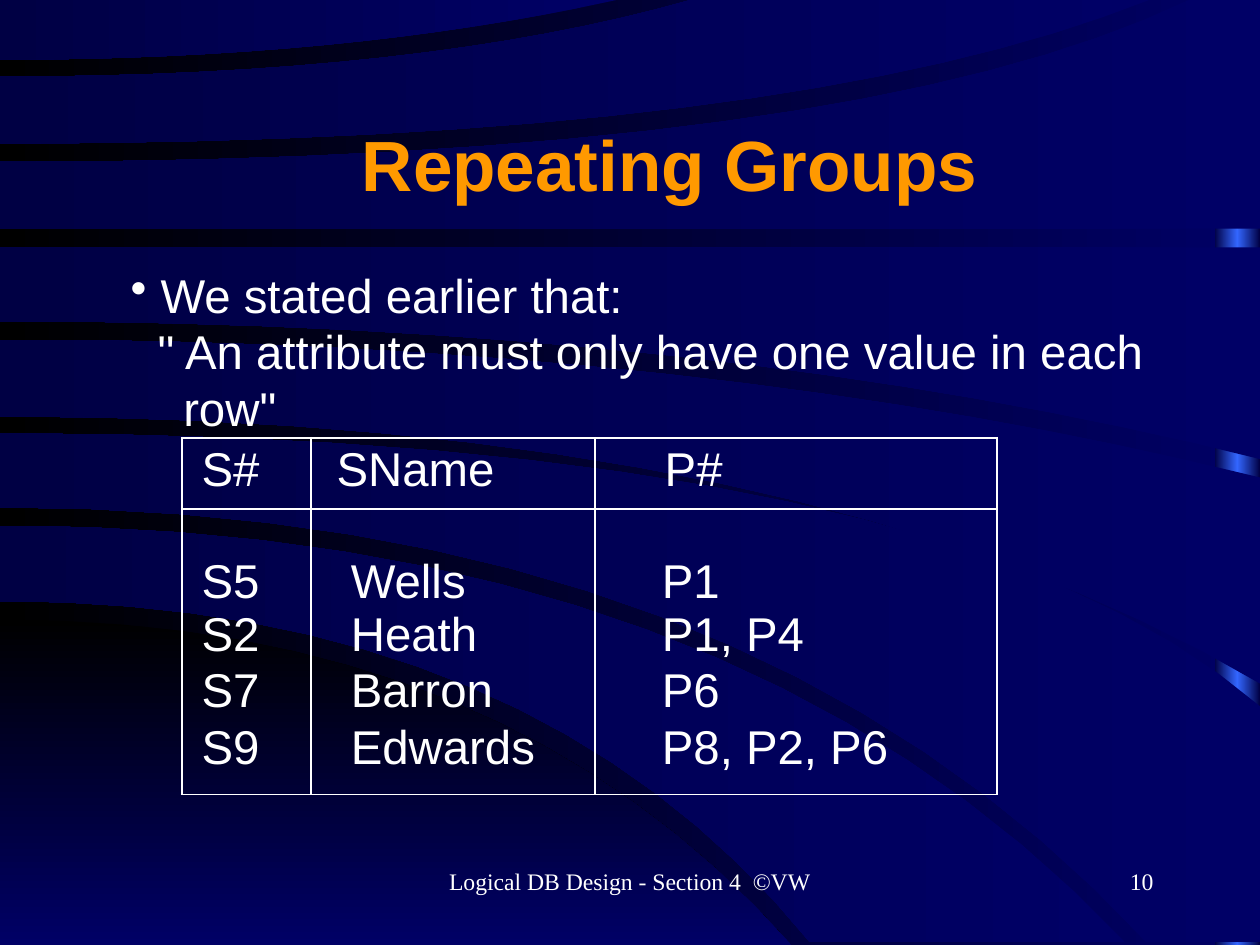
from copy import deepcopy
from lxml.etree import SubElement as Sub
from pptx import Presentation
from pptx.dml.color import RGBColor
from pptx.enum.shapes import MSO_SHAPE as Kind
from pptx.enum.text import MSO_ANCHOR as Anchor, PP_ALIGN as Align
from pptx.oxml.ns import qn
from pptx.util import Inches, Pt

GLOW = (4.36, 3.55, 5.57, 6.65), (6.65, 3, 5.57, 6.65)
BANDS = [
    ((3.7, 5.15, 7.92, 6.63), (4.23, 3.75, 5.7, 6.63)),
    ((3.05, 6.65, 8.87, 4.97), (3.57, 5.25, 8.07, 6.63)),
    ((2.39, 4.95, 8.87, 3.36), (2.93, 5.7, 8.87, 4.81)),
    ((1.74, 4, 8.87, 1.74), (2.26, 5.03, 8.87, 3.23)),
    ((1.14, 6, 8.37, 0), (1.61, 4, 8.87, 1.61)),
    ((0.54, 2.97, 4.86, 0), (1.01, 5.55, 8.09, 0)),
    ((0, 2, 4.34, 0), (0.42, 2.43, 4.34, 0)),
]
ROWS = [("S#", "SName", "P#"), ("S5", "Wells", "P1"), ("S2", "Heath", "P1, P4"),
        ("S7", "Barron", "P6"), ("S9", "Edwards", "P8, P2, P6")]


def color(hue):
    return RGBColor.from_string(hue)


def curve(start, knee, x, y, steps=16):
    """Points of an arc that leaves the left edge level and bends to (x, y)."""
    parts = [n / steps for n in range(steps + 1)]
    return [(2 * t * (1 - t) * knee + t * t * x, start + t * t * (y - start))
            for t in parts]


class Deck:
    """Holds the style and the current slide."""
    sans, serif = "Arial", "Times New Roman"
    white, gold, black = "FFFFFF", "FF9900", "000000"
    navy, dim, blue = "000066", "000044", "3366FF"

    def __init__(self, wide, high):
        self.show = Presentation()
        self.show.slide_width, self.show.slide_height = Inches(wide), Inches(high)
        self.slide = self.show.slides.add_slide(self.show.slide_layouts[6])

    def grade(self, fill, hues, angle=180, end=1):
        fill.gradient()
        fill.gradient_angle = angle
        for stop, hue, pos in zip(fill.gradient_stops, hues, (0, end)):
            stop.color.rgb, stop.position = color(hue), pos

    def bar(self, *box):
        shape = self.slide.shapes.add_shape(Kind.RECTANGLE, *map(Inches, box))
        shape.shadow.inherit = False
        shape.line.fill.background()
        self.grade(shape.fill, (self.dim, self.blue), end=0.5)
        stops = next(shape._element.iter(qn("a:gsLst")))
        last = deepcopy(stops[0])
        last.set("pos", "100000")
        stops.append(last)

    def band(self, upper, lower, hues, angle=180):
        top, low = curve(*upper), curve(*lower)
        ends = top[-1], low[-1]
        corner = max(ends)[0], min(ends)[1]
        points = [(Inches(x), Inches(y)) for x, y in top + [corner] + low[::-1]]
        pen = self.slide.shapes.build_freeform(*points[0])
        pen.add_line_segments(points[1:])
        shape = pen.convert_to_shape()
        shape.shadow.inherit = False
        shape.line.fill.background()
        self.grade(shape.fill, hues, angle)

    def style(self, para, size, font, hue, bold=False):
        for run in para.runs:
            run.font.size, run.font.name, run.font.bold = Pt(size), font, bold
            run.font.color.rgb = color(hue)

    def text(self, box, words, size, font, hue, align=Align.LEFT, bold=False,
             anchor=Anchor.TOP, pad=(0.09, 0.04)):
        frame = self.slide.shapes.add_textbox(*map(Inches, box)).text_frame
        frame.word_wrap, frame.vertical_anchor = True, anchor
        frame.margin_left = frame.margin_right = Inches(pad[0])
        frame.margin_top = frame.margin_bottom = Inches(pad[1])
        frame.text = words
        for para in frame.paragraphs:
            para.alignment = align
            self.style(para, size, font, hue, bold)
        return frame.paragraphs

    def indent(self, para, left, mark=None):
        props = para._p.get_or_add_pPr()
        props.set("marL", str(Inches(left)))
        props.set("indent", str(-Inches(left) if mark else 0))
        if mark:
            Sub(props, qn("a:buChar"), char=mark)

    def edges(self, cell, shown):
        props = cell._tc.get_or_add_tcPr()
        for spot, side in enumerate("LRTB"):
            line = Sub(props, qn("a:ln" + side), w=str(Pt(1)))
            if side in shown:
                fill = Sub(line, qn("a:solidFill"))
                Sub(fill, qn("a:srgbClr"), val=self.white)
            else:
                Sub(line, qn("a:noFill"))
            props.insert(spot, line)

    def table(self, box, rows, wides, highs, heads, pads):
        grid = self.slide.shapes.add_table(
            len(rows), len(wides), *map(Inches, box)).table
        grid.first_row = grid.horz_banding = False
        for col, wide in zip(grid.columns, wides):
            col.width = Inches(wide)
        last = len(rows) - 1
        for r, (row, high) in enumerate(zip(rows, highs)):
            grid.rows[r].height = Inches(high)
            for c, words in enumerate(row):
                cell = grid.cell(r, c)
                cell.margin_left = Inches(pads[c] if r else heads[c])
                cell.margin_right = cell.margin_bottom = 0
                cell.margin_top = Inches(0 if r else 0.04)
                cell.vertical_anchor = Anchor.BOTTOM if r == 1 else Anchor.TOP
                cell.text_frame.text = words
                self.style(cell.text_frame.paragraphs[0], 24, self.sans, self.white)
                cell.fill.background()
                top = "T" if r < 2 else ""
                low = "B" if r in (0, last) else ""
                self.edges(cell, "LR" + top + low)


def main():
    deck = Deck(8.87, 6.65)
    deck.grade(deck.slide.background.fill, (deck.navy, deck.black))
    deck.bar(8.55, 0, 0.32, 6.65)
    deck.band(*GLOW, (deck.black, deck.navy), 270)
    for upper, lower in BANDS:
        deck.band(upper, lower, (deck.navy, deck.dim))
    deck.text((1.98, 0.77, 5.47, 0.76), "Repeating Groups", 36, deck.sans,
              deck.gold, Align.CENTER, True, Anchor.MIDDLE)
    lines = deck.text(
        (0.85, 1.84, 7.59, 1.22),
        'We stated earlier that:\n" An attribute must only have one value in each\nrow"',
        24, deck.sans, deck.white, pad=(0.07, 0.03))
    for para, left, mark in zip(lines, (0.21, 0.19, 0.37), ("•", None, None)):
        deck.indent(para, left, mark)
    deck.table((1.28, 3.08, 5.74, 2.49), ROWS, (0.91, 2, 2.83),
               (0.5, 0.7, 0.39, 0.39, 0.51), (0.14, 0.18, 0.49), (0.14, 0.28, 0.47))
    deck.text((3.03, 6.06, 2.81, 0.44), "Logical DB Design - Section 4  ©VW",
              12, deck.serif, deck.white, Align.CENTER)
    deck.text((6.36, 6.06, 1.85, 0.44), "10", 12, deck.serif, deck.white, Align.RIGHT)
    deck.show.save("out.pptx")


if __name__ == "__main__":
    main()
